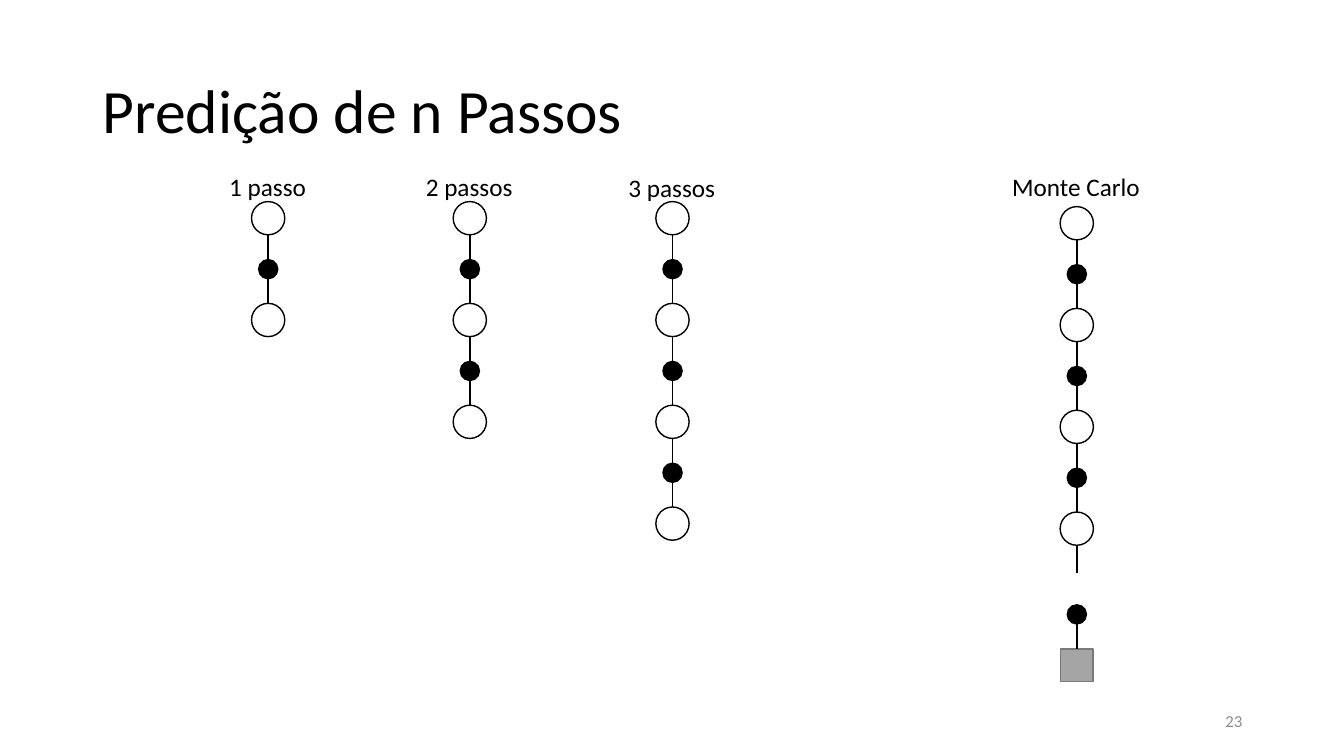
import pptx
import pptx.dml.color
import pptx.enum.shapes
import pptx.enum.text
import pptx.oxml.ns
import pptx.util
from lxml import etree

Inches = pptx.util.Inches
Shapes = pptx.enum.shapes.MSO_SHAPE
Align = pptx.enum.text.PP_ALIGN
Anchor = pptx.enum.text.MSO_ANCHOR

BLACK = pptx.dml.color.RGBColor(0x00, 0x00, 0x00)
WHITE = pptx.dml.color.RGBColor(0xFF, 0xFF, 0xFF)
GRAY = pptx.dml.color.RGBColor(0xA5, 0xA5, 0xA5)
DARK_GRAY = pptx.dml.color.RGBColor(0x7A, 0x7A, 0x7A)
NUMBER_GRAY = pptx.dml.color.RGBColor(0x8C, 0x8C, 0x8C)

STATE = 0.33      # diameter of a state circle
ACTION = 0.19     # diameter of an action dot
TERMINAL = 0.32   # side of the terminal square
STEP = 1.01       # distance between consecutive states

# Steps, centre x, top of the first state, label, label top, label width
CHAINS = [
    (1, 2.66, 2.0, "1 passo", 1.65, 0.97),
    (2, 4.66, 2.0, "2 passos", 1.65, 1.07),
    (3, 6.67, 2.0, "3 passos", 1.66, 1.07),
    (3, 10.68, 2.05, "Monte Carlo", 1.65, 1.48),
]


def write_text(box, text, size, color, align, frame_format):
    frame = box.text_frame
    for name, value in frame_format.items():
        setattr(frame, name, value)
    para = frame.paragraphs[0]
    para.alignment = align
    span = para.add_run()
    span.text = text
    font_format = {"name": "Calibri", "size": pptx.util.Pt(size)}
    for name, value in font_format.items():
        setattr(span.font, name, value)
    span.font.color.rgb = color
    return para


def add_title(page, left, top, width, height):
    title = page.shapes.title
    place = {"left": left, "top": top, "width": width, "height": height}
    for name, value in place.items():
        setattr(title, name, Inches(value))
    para = write_text(title, "Predição de n Passos", 44, BLACK, Align.LEFT,
                      {"vertical_anchor": Anchor.MIDDLE, "word_wrap": True})
    para.line_spacing = 0.9


def add_text(page, left, top, width, height, *text_format):
    box = page.shapes.add_textbox(Inches(left), Inches(top), Inches(width), Inches(height))
    write_text(box, *text_format)


def add_node(page, center_x, top, size, fill, line=BLACK, kind=Shapes.OVAL):
    node = page.shapes.add_shape(kind, Inches(center_x - size / 2), Inches(top),
                                 Inches(size), Inches(size))
    node.shadow.inherit = False
    node.fill.solid()
    node.fill.fore_color.rgb = fill
    node.line.color.rgb = line
    node.line.width = pptx.util.Pt(1)
    return node


def add_link(page, x, top, bottom):
    link = page.shapes.add_connector(pptx.enum.shapes.MSO_CONNECTOR.STRAIGHT,
                                     Inches(x), Inches(top), Inches(x), Inches(bottom))
    link.line.color.rgb = BLACK
    link.line.width = pptx.util.Pt(1)
    etree.SubElement(link._element.spPr, pptx.oxml.ns.qn("a:effectLst"))
    return link


def add_chain(page, steps, center_x, top, label, label_top, label_width):
    """Label and alternating states and actions, hung from the first state."""
    add_text(page, center_x - label_width / 2, label_top, label_width, 0.4,
             label, 18, BLACK, Align.LEFT,
             {"word_wrap": False,
              "auto_size": pptx.enum.text.MSO_AUTO_SIZE.SHAPE_TO_FIT_TEXT})
    add_node(page, center_x, top, STATE, WHITE)
    for step in range(steps):
        state_top = top + step * STEP
        action_top = state_top + (STEP + STATE - ACTION) / 2
        add_node(page, center_x, action_top, ACTION, BLACK)
        add_node(page, center_x, state_top + STEP, STATE, WHITE)
        add_link(page, center_x, state_top + STATE, action_top)
        add_link(page, center_x, action_top + ACTION, state_top + STEP)


def add_episode_end(page, center_x, top):
    """Open link, gap, last action and terminal state."""
    action_top = top + 0.59
    add_link(page, center_x, top, top + 0.27)
    add_node(page, center_x, action_top, ACTION, BLACK)
    terminal = add_node(page, center_x, top + 1.03, TERMINAL, GRAY, DARK_GRAY,
                        Shapes.RECTANGLE)
    link = add_link(page, center_x, action_top + ACTION, top + 1.03)
    link.end_connect(terminal, 0)


def build_prediction_slide(deck):
    page = deck.slides.add_slide(deck.slide_layouts[5])
    add_title(page, 0.92, 0.4, 11.5, 1.45)

    # Slide number
    add_text(page, 9.42, 6.95, 3, 0.4, "23", 12, NUMBER_GRAY, Align.RIGHT,
             {"vertical_anchor": Anchor.MIDDLE, "word_wrap": True})

    # Backup diagrams
    for chain in CHAINS:
        add_chain(page, *chain)

    # The Monte Carlo chain runs to the end of the episode
    steps, center_x, top = CHAINS[-1][:3]
    add_episode_end(page, center_x, top + steps * STEP + STATE)


def main():
    deck = pptx.Presentation()
    deck.slide_width = Inches(13.33)
    deck.slide_height = Inches(7.5)
    build_prediction_slide(deck)
    deck.save("out.pptx")


if __name__ == "__main__":
    main()
